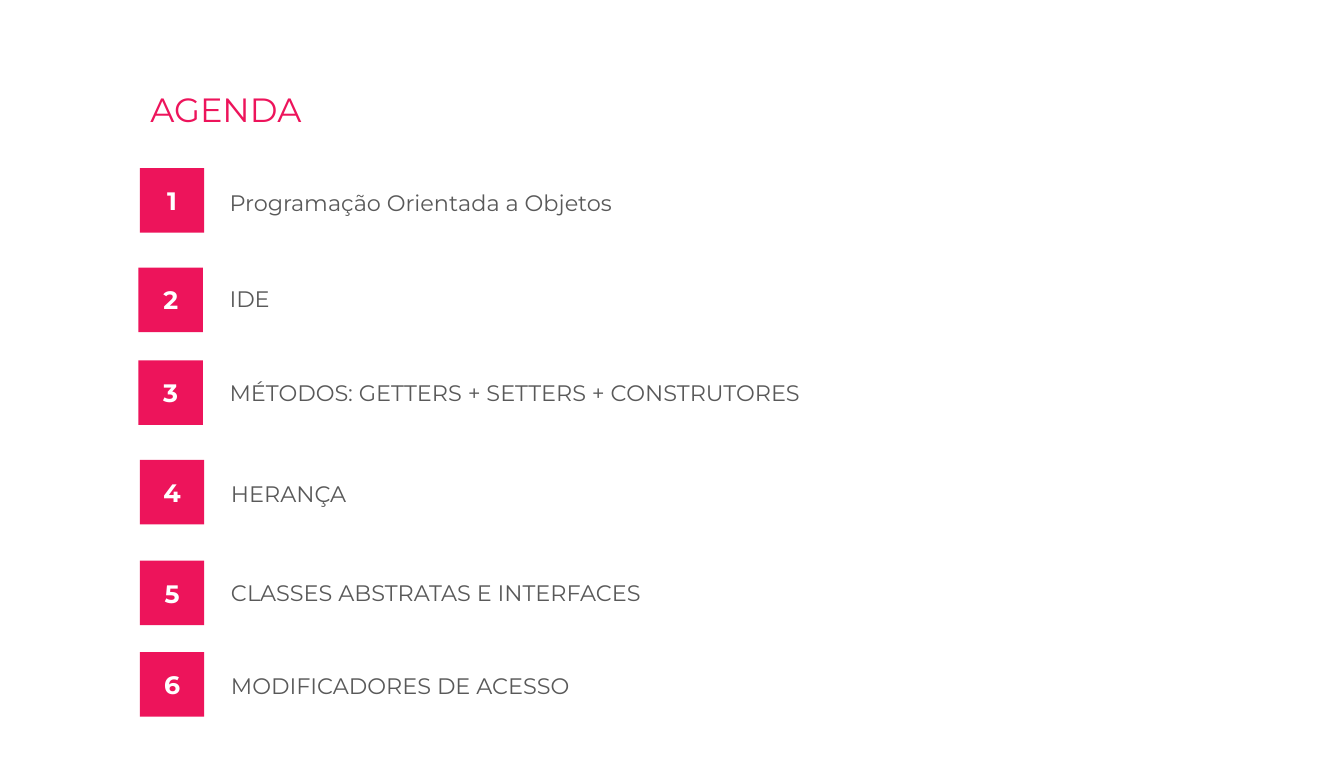
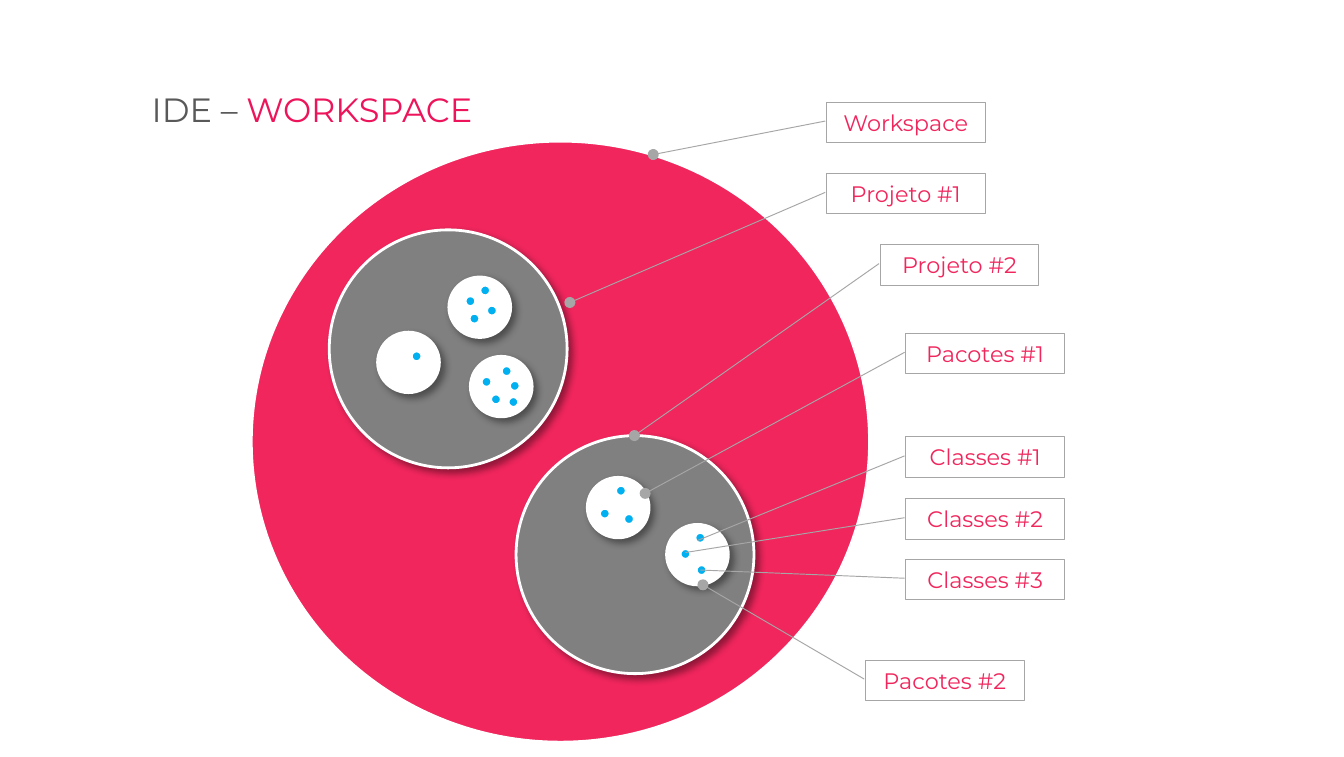
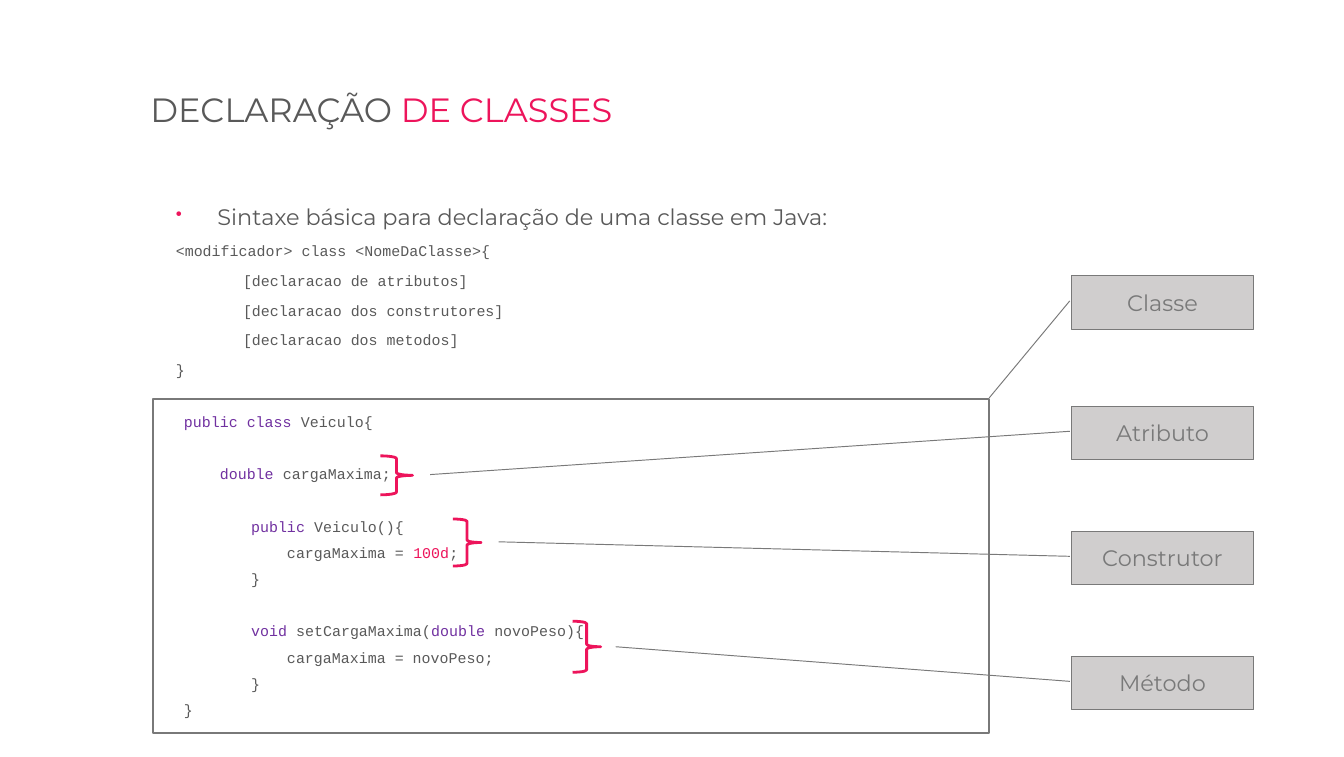
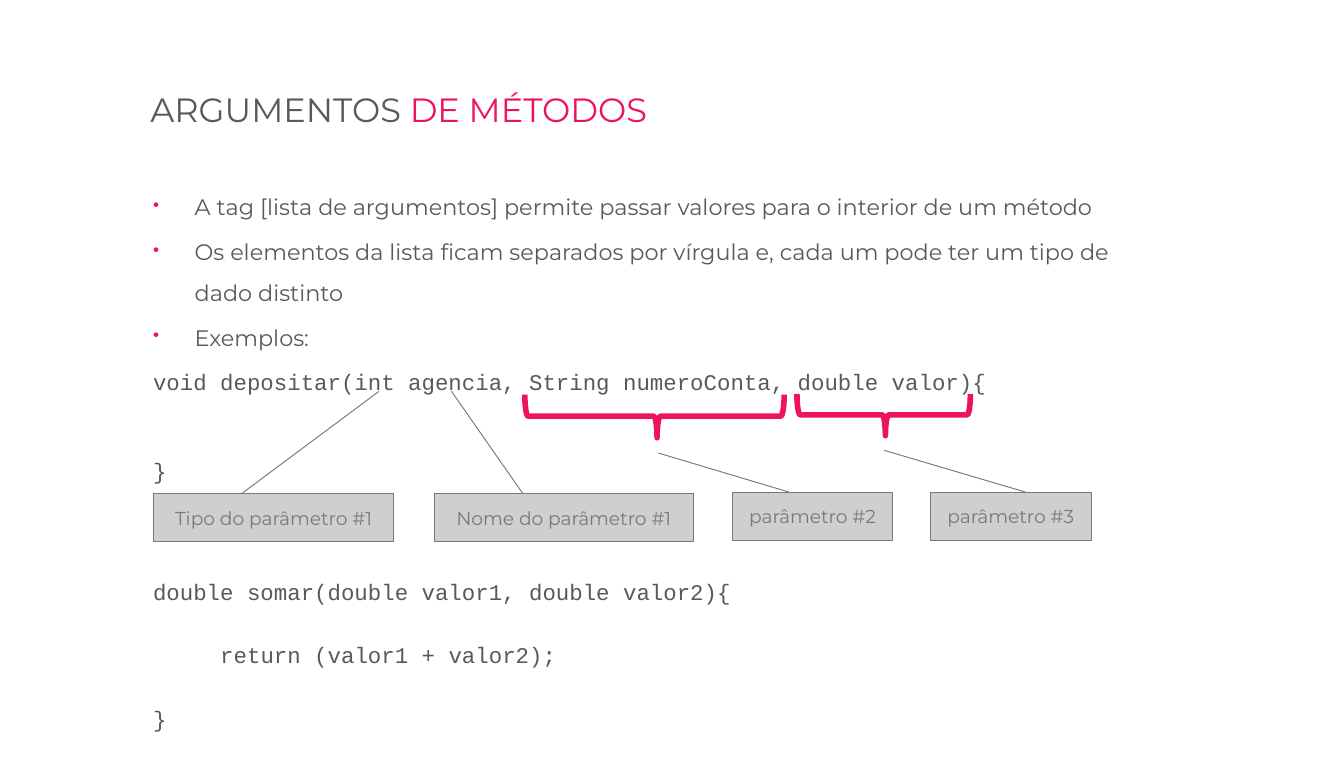
from dataclasses import dataclass

import lxml.etree
import pptx
import pptx.dml.color
import pptx.enum.shapes
import pptx.enum.text
import pptx.oxml
import pptx.oxml.ns
import pptx.util

RGB = pptx.dml.color.RGBColor
SHAPE = pptx.enum.shapes.MSO_SHAPE
ANCHOR = pptx.enum.text.MSO_ANCHOR
CENTER = pptx.enum.text.PP_ALIGN.CENTER
qn = pptx.oxml.ns.qn

PINK = RGB(0xED, 0x14, 0x5B)
ROSE = RGB(0xF0, 0x26, 0x5D)
TEXT = RGB(0x59, 0x59, 0x59)
PURPLE = RGB(0x70, 0x30, 0xA0)
BLUE = RGB(0x00, 0xB0, 0xF0)
WHITE = RGB(0xFF, 0xFF, 0xFF)
GRAY = RGB(0x80, 0x80, 0x80)
LIGHT_LINE = RGB(0xA6, 0xA6, 0xA6)
DARK_LINE = RGB(0x79, 0x79, 0x79)
SILVER = RGB(0xD0, 0xCE, 0xCE)

SANS = "Montserrat"
MONO = "Courier New"
# Space before a paragraph, in points
BULLET_GAP = 2.5
CODE_GAP = 1.6


def px(length):
    """100 px make one inch."""
    return pptx.util.Emu(length * 9144)


@dataclass
class Line:
    """One paragraph: its runs as (text, colour) pairs, and its style."""
    runs: list
    size: float = 12
    font: str = SANS
    bold: bool = False
    align: object = None
    spacing: float = 1.0
    before: float = 0
    left: int = 0
    bullet: bool = False


def bullet(text):
    return Line([(text, TEXT)], spacing=1.5, before=BULLET_GAP, left=81, bullet=True)


def code(*runs, size=8, spacing=1.3, before=CODE_GAP, left=50):
    return Line(list(runs), size, MONO, spacing=spacing, before=before, left=left)


class Deck:
    def __init__(self):
        self.prs = pptx.Presentation()
        self.prs.slide_width, self.prs.slide_height = px(1000), px(563)
        self.slide = None

    def new_slide(self, title_left, title_width, *title):
        self.slide = self.prs.slides.add_slide(self.prs.slide_layouts[6])
        self.text(title_left, 61, title_width, 40, [Line(list(title), 18)], grow=True)

    def fill_frame(self, frame, lines):
        for number, line in enumerate(lines):
            paragraph = frame.add_paragraph() if number else frame.paragraphs[0]
            paragraph.line_spacing = line.spacing
            paragraph.space_before = pptx.util.Pt(line.before if number else 0)
            if line.align is not None:
                paragraph.alignment = line.align
            if line.left:
                paragraph.level = 1
                props = paragraph._p.get_or_add_pPr()
                props.set("marL", str(px(line.left)))
                props.set("indent", str(px(-31 if line.bullet else 0)))
                if line.bullet:
                    self.add_bullet(props)
            for words, color in line.runs:
                run = paragraph.add_run()
                run.text = words
                run.font.name = line.font
                run.font.size = pptx.util.Pt(line.size)
                run.font.bold = line.bold
                run.font.color.rgb = color

    def add_bullet(self, props):
        color = lxml.etree.SubElement(props, qn("a:buClr"))
        lxml.etree.SubElement(color, qn("a:srgbClr")).set("val", str(PINK))
        lxml.etree.SubElement(props, qn("a:buSzPct")).set("val", "80000")
        lxml.etree.SubElement(props, qn("a:buChar")).set("char", "•")

    def text(self, left, top, width, height, lines, anchor=ANCHOR.TOP, grow=False):
        box = self.slide.shapes.add_textbox(px(left), px(top), px(width), px(height))
        frame = box.text_frame
        frame.word_wrap = True
        frame.vertical_anchor = anchor
        if grow:
            frame.auto_size = pptx.enum.text.MSO_AUTO_SIZE.SHAPE_TO_FIT_TEXT
        self.fill_frame(frame, lines)

    def shape(self, kind, left, top, width, height, fill=None, line=None, weight=1.5):
        shape = self.slide.shapes.add_shape(kind, px(left), px(top), px(width), px(height))
        shape.shadow.inherit = False
        if fill is None:
            shape.fill.background()
        else:
            shape.fill.solid()
            shape.fill.fore_color.rgb = fill
        if line is None:
            shape.line.fill.background()
        else:
            shape.line.color.rgb = line
            shape.line.width = pptx.util.Pt(weight)
        return shape

    def badge(self, left, top, number):
        square = self.shape(SHAPE.RECTANGLE, left, top, 48, 48, PINK)
        square.text_frame.vertical_anchor = ANCHOR.MIDDLE
        self.fill_frame(square.text_frame,
                        [Line([(str(number), WHITE)], 13.5, bold=True, align=CENTER)])

    def circle(self, left, top, width, height, fill, shadow=False):
        circle = self.shape(SHAPE.OVAL, left, top, width, height, fill, WHITE)
        if shadow:
            effects = circle._element.spPr.find(qn("a:effectLst"))
            outer = lxml.etree.SubElement(effects, qn("a:outerShdw"), blurRad="50800",
                                          dist="38100", dir="2700000", algn="tl",
                                          rotWithShape="0")
            color = lxml.etree.SubElement(outer, qn("a:srgbClr"), val="000000")
            lxml.etree.SubElement(color, qn("a:alpha"), val="40000")

    def callout(self, label, box, tip, start=None, fill=SILVER, line=DARK_LINE,
                ink=DARK_LINE, size=12, anchor=ANCHOR.MIDDLE, inset_top=0, dot=False):
        """A label whose leader runs from start (default: left side) to tip."""
        left, top, width, height = box
        start = start or (left - 1, top + 0.47 * height)
        callout = self.shape(SHAPE.LINE_CALLOUT_1, *box, fill, line, 0.5)
        for index, (x, y) in enumerate((start, tip)):
            callout.adjustments[2 * index] = (y - top) / height
            callout.adjustments[2 * index + 1] = (x - left) / width
        if dot:
            outline = callout.line._get_or_add_ln()
            lxml.etree.SubElement(outline, qn("a:tailEnd"), type="oval")
        frame = callout.text_frame
        frame.word_wrap = False
        frame.vertical_anchor = anchor
        frame.margin_top, frame.margin_bottom = px(inset_top), 0
        self.fill_frame(frame, [Line([(label, ink)], size, align=CENTER)])

    def brace(self, kind, left, top, width, height, weight=1.5):
        return self.shape(kind, left, top, width, height, line=PINK, weight=weight)


def agenda(deck):
    deck.new_slide(102, 418, ("AGENDA", PINK))
    # topic, badge left, badge top, label top, label width
    topics = [
        ("Programação Orientada a Objetos", 104, 125, 124, 508),
        ("IDE", 103, 199, 207, 640),
        ("MÉTODOS: GETTERS + SETTERS + CONSTRUTORES", 103, 268, 277, 605),
        ("HERANÇA", 104, 342, 352, 605),
        ("CLASSES ABSTRATAS E INTERFACES", 104, 417, 426, 605),
        ("MODIFICADORES DE ACESSO", 104, 485, 495, 605),
    ]
    for number, (topic, left, top, label_top, width) in enumerate(topics, 1):
        first = number == 1
        line = Line([(topic, TEXT)], spacing=1.5 if first else 1.0)
        deck.text(161 if first else left + 58, label_top, width, 44 if first else 30,
                  [line], ANCHOR.MIDDLE, grow=not first)
        deck.badge(left, top, number)


def workspace(deck):
    deck.new_slide(103, 631, ("IDE – ", TEXT), ("WORKSPACE", PINK))
    # Workspace and projects
    deck.circle(187, 105, 460, 447, ROSE)
    for left, top in [(245, 171), (384, 324)]:
        deck.circle(left, top, 177, 177, GRAY, shadow=True)

    # Packages with their classes
    packages = {
        (334, 206): [(357, 212), (362, 227), (346, 220), (349, 233)],
        (281, 247): [(306, 261)],
        (350, 265): [(373, 272), (379, 283), (358, 280), (365, 293), (378, 295)],
        (437, 355): [(458, 361), (446, 378), (464, 382)],
        (496, 390): [(517, 396), (518, 420), (506, 408)],
    }
    for package, classes in packages.items():
        deck.circle(*package, 46, 45, WHITE, shadow=True)
        for class_place in classes:
            deck.circle(*class_place, 8, 8, BLUE)

    # Labels: place, tip of the leader
    labels = [
        ("Workspace", (615, 76), (486, 115)),
        ("Projeto #1", (615, 129), (424, 225)),
        ("Pacotes #2", (644, 491), (523, 435)),
        ("Classes #2", (674, 371), (510, 411)),
        ("Classes #3", (674, 416), (521, 424)),
        ("Pacotes #1", (674, 248), (480, 367)),
        ("Projeto #2", (655, 182), (472, 324)),
        ("Classes #1", (674, 325), (519, 402)),
    ]
    for label, place, tip in labels:
        deck.callout(label, (*place, 118, 30), tip, fill=WHITE, line=LIGHT_LINE,
                     ink=ROSE, anchor=ANCHOR.TOP, inset_top=5,
                     dot=not label.startswith("Classes"))


def class_declaration(deck):
    deck.new_slide(102, 579, ("DECLARAÇÃO ", TEXT), ("DE CLASSES", PINK))
    # Example class; a section opens after one line of space
    section = 15.6
    deck.text(77, 298, 869, 260, [
        code(("public class", PURPLE), (" Veiculo{", TEXT)),
        code(("    double ", PURPLE), ("cargaMaxima;", TEXT), before=section),
        code(("public", PURPLE), (" Veiculo(){", TEXT), before=section, left=100),
        code(("    cargaMaxima = ", TEXT), ("100d", PINK), (";", TEXT), left=100),
        code(("}", TEXT), left=100),
        code(("void ", PURPLE), ("setCargaMaxima(", TEXT), ("double ", PURPLE),
             ("novoPeso){", TEXT), before=section, left=100),
        code(("    cargaMaxima = novoPeso;", TEXT), left=100),
        code(("}", TEXT), left=100),
        code(("}", TEXT)),
    ])
    deck.shape(SHAPE.RECTANGLE, 114, 297, 622, 248, line=DARK_LINE, weight=1)

    # Parts of the class
    for label, top, tip in [("Classe", 205, (736, 296)), ("Atributo", 302, (320, 353)),
                            ("Construtor", 395, (371, 403)), ("Método", 488, (458, 481))]:
        deck.callout(label, (797, top, 136, 40), tip)
    for place in [(283, 339, 24, 29), (337, 386, 21, 35), (426, 462, 21, 38)]:
        deck.brace(SHAPE.RIGHT_BRACE, *place)

    # Syntax
    syntax = [("<modificador> class <NomeDaClasse>{", 50),
              ("[declaracao de atributos]", 100),
              ("[declaracao dos construtores]", 100),
              ("[declaracao dos metodos]", 100),
              ("}", 50)]
    deck.text(71, 136, 869, 157,
              [bullet("Sintaxe básica para declaração de uma classe em Java:")]
              + [code((words, TEXT), spacing=1.5, left=left) for words, left in syntax])


def method_arguments(deck):
    deck.new_slide(102, 579, ("ARGUMENTOS ", TEXT), ("DE MÉTODOS", PINK))
    # Rules, then the two methods: words, line spacing, space before, indent
    methods = [
        ("void depositar(int agencia, String numeroConta, double valor){", 1.5, 2, 50),
        ("}", 1.5, 26.2, 50),
        ("double somar(double valor1, double valor2){", 1.0, 50.1, 50),
        ("return (valor1 + valor2);", 1.0, 19.8, 100),
        ("}", 1.0, 19.8, 50),
    ]
    deck.text(54, 129, 799, 49, [
        bullet("A tag [lista de argumentos] permite passar valores para o interior "
               "de um método"),
        bullet("Os elementos da lista ficam separados por vírgula e, cada um pode ter "
               "um tipo de dado distinto"),
        bullet("Exemplos:"),
    ] + [code((words, TEXT), size=12, spacing=spacing, before=before, left=left)
         for words, spacing, before, left in methods])

    # Parameters: label, left, top, width, leader start, leader tip
    parameters = [
        ("Nome do parâmetro #1", 323, 367, 193, 389, (336, 291)),
        ("Tipo do parâmetro #1", 114, 367, 179, 180, (282, 291)),
        ("parâmetro #2", 545, 366, 119, 587, (490, 337)),
        ("parâmetro #3", 692, 366, 120, 763, (658, 335)),
    ]
    for label, left, top, width, start, tip in parameters:
        deck.callout(label, (left, top, width, 36), tip, (start, top), size=10)
    for place in [(471, 213, 32, 193), (642, 244, 31, 129)]:
        brace = deck.brace(SHAPE.LEFT_BRACE, *place, weight=3)
        brace.rotation = 270
        brace.adjustments[0], brace.adjustments[1] = 0.08, 0.51


def main():
    deck = Deck()
    for build in (agenda, workspace, class_declaration, method_arguments):
        build(deck)
    deck.prs.save("out.pptx")


if __name__ == "__main__":
    main()
